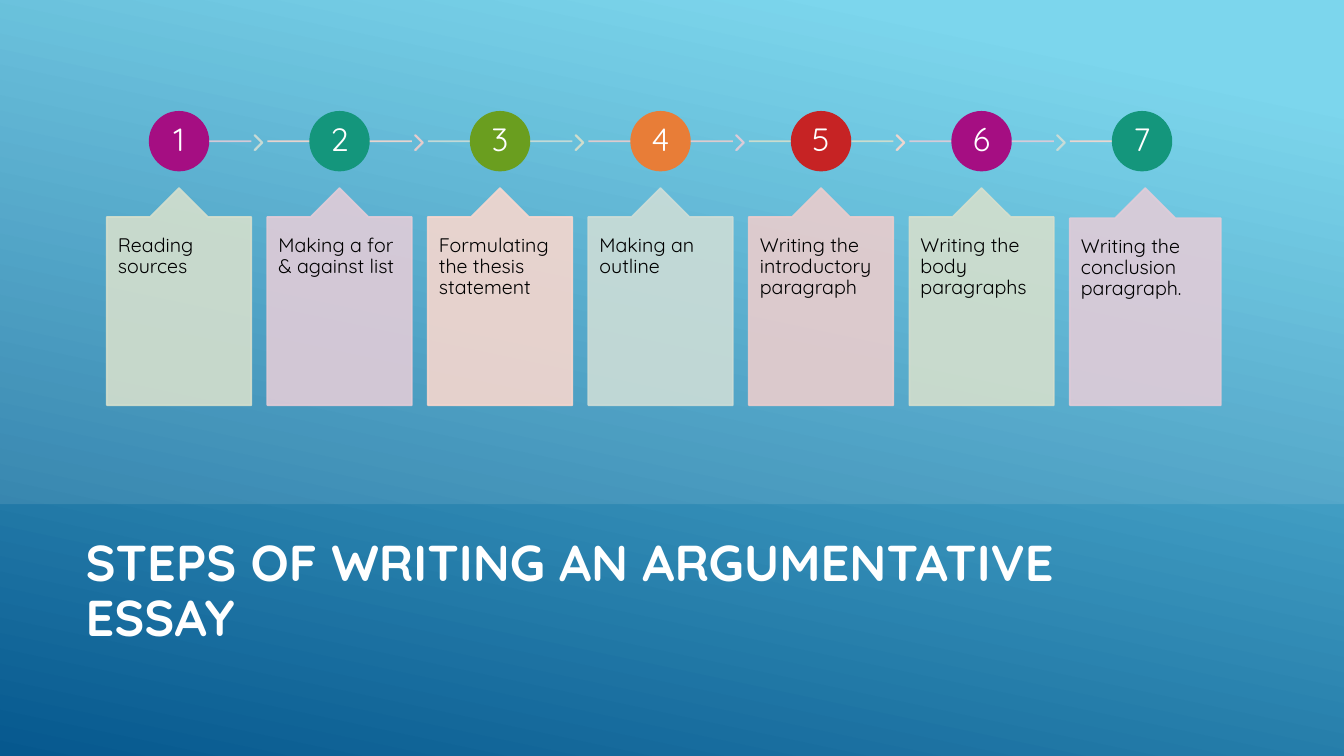
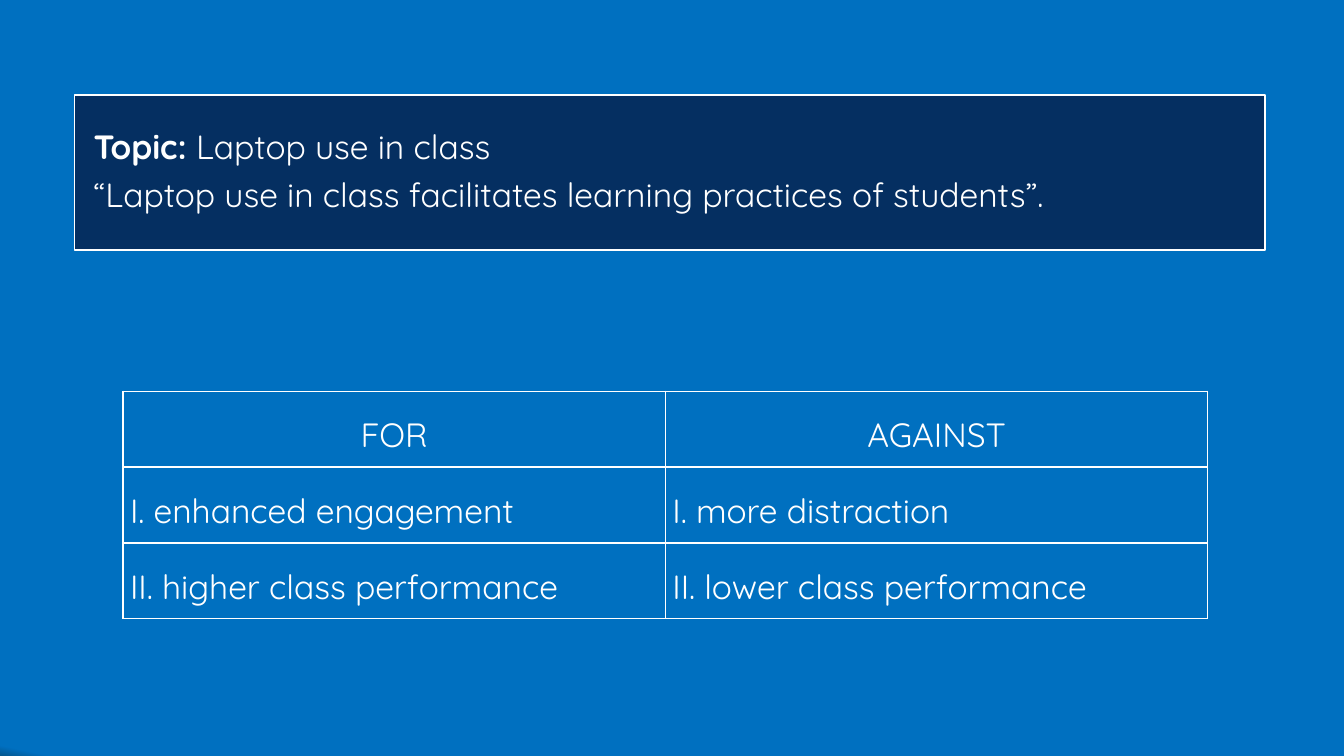
from pptx import Presentation
from pptx.dml.color import RGBColor
from pptx.enum.shapes import MSO_CONNECTOR, MSO_SHAPE
from pptx.enum.text import MSO_ANCHOR, PP_ALIGN
from pptx.oxml.ns import qn
from pptx.util import Inches, Pt
from lxml.etree import SubElement, fromstring

W, H = 13.33, 7.5
FONT = "Quicksand"
WHITE, BLACK, BLUE, NAVY = "FFFFFF", "000000", "0070C0", "052F61"
SKY, CYAN, DEEP = "6ED2EB", "45D7FB", "06588E"
ANGLE = 102
STRONG = ["A50E82", "14967C", "6A9E1F", "E87D37", "C62324"]
TINTS = ["D4DFCD", "E1CCD8", "F6D7CE", "CCDDD7", "EACDCD"]
STEPS = ["Reading sources", "Making a for & against list",
         "Formulating the thesis statement", "Making an outline",
         "Writing the introductory paragraph", "Writing the body paragraphs",
         "Writing the conclusion paragraph."]
TOPIC = [[("Topic: ", True), ("Laptop use in class", False)],
         [("“Laptop use in class facilitates learning practices of students”.", False)]]
ARGUMENTS = [["FOR", "AGAINST"],
             ["I. enhanced engagement", "I. more distraction"],
             ["II. higher class performance", "II. lower class performance"]]


def rgb(color):
    return RGBColor.from_string(color)


def area(left, top, width, height):
    return left * W / 100, top * H / 100, width * W / 100, height * H / 100


def inches(*lengths):
    return [Inches(v) for v in lengths]


def gradient(fill, *stops):
    fill.gradient()
    fill.gradient_angle = 360 - ANGLE
    for stop, (position, color) in zip(fill.gradient_stops, stops):
        stop.position = position
        stop.color.rgb = rgb(color)


def fade(shape, percent):
    for color in shape._element.spPr.iter(qn("a:srgbClr")):
        SubElement(color, qn("a:alpha"), val=str(percent * 1000))


def add_text(tf, paras, size=14, color=WHITE, bold=False, align=PP_ALIGN.LEFT,
             anchor=MSO_ANCHOR.TOP, inset=(0.1, 0.05), spacing=0.9, after=0):
    tf.word_wrap = True
    tf.vertical_anchor = anchor
    tf.margin_left = tf.margin_right = Inches(inset[0])
    tf.margin_top = tf.margin_bottom = Inches(inset[1])
    if isinstance(paras, str):
        paras = [[(paras, bold)]]
    for i, runs in enumerate(paras):
        p = tf.add_paragraph() if i else tf.paragraphs[0]
        p.alignment, p.line_spacing, p.space_after = align, spacing, Pt(after)
        for text, strong in runs:
            r = p.add_run()
            r.text = text
            r.font.name, r.font.size, r.font.bold = FONT, Pt(size), strong
            r.font.color.rgb = rgb(color)


def add_shape(s, kind, box, fill=None, line=None, opacity=100, adjust=()):
    sp = s.shapes.add_shape(kind, *inches(*box))
    sp.shadow.inherit = False
    for i, value in enumerate(adjust):
        sp.adjustments[i] = value
    if fill:
        sp.fill.solid()
        sp.fill.fore_color.rgb = rgb(fill)
    if line:
        sp.line.color.rgb = rgb(line)
        sp.line.width = Pt(1.25)
    else:
        sp.line.fill.background()
    if opacity < 100:
        fade(sp, opacity)
    return sp


def add_line(s, x1, x2, y, color):
    ln = s.shapes.add_connector(MSO_CONNECTOR.STRAIGHT, *inches(x1, y, x2, y))
    ln.line.color.rgb = rgb(color)
    ln.line.width = Pt(1.25)
    fade(ln, 90)
    SubElement(ln._element.spPr, qn("a:effectLst"))


def new_slide(prs, end):
    s = prs.slides.add_slide(prs.slide_layouts[6])
    gradient(s.background.fill, (0.99, BLUE), (1, end))
    return s


def add_title(s, text, box):
    tb = s.shapes.add_textbox(*inches(*box))
    add_text(tb.text_frame, text, size=36, bold=True, anchor=MSO_ANCHOR.MIDDLE)


def add_backdrop(s):
    sp = add_shape(s, MSO_SHAPE.RECTANGLE, area(0, 0, 100, 100))
    gradient(sp.fill, (0.1, SKY), (1, DEEP))


def add_steps(s, steps, box):
    left, top, width, height = box
    last = len(steps) - 1
    pitch = width / (last + 0.9)
    card, dot = pitch * 0.9, height * 0.2
    for i, text in enumerate(steps):
        x = left + i * pitch
        center = x + card / 2
        tint, strong = TINTS[i % 5], STRONG[i % 5]
        add_line(s, x if i else center, x + card if i < last else center,
                 top + dot / 2, TINTS[(i + 1) % 5])
        if i < last:
            mark = TINTS[(i + 3) % 5]
            add_shape(s, MSO_SHAPE.CHEVRON,
                      (x + pitch * 0.92, top + height * 0.08, pitch * 0.05, height * 0.05),
                      mark, mark, opacity=90, adjust=[0.9])
        sp = add_shape(s, MSO_SHAPE.OVAL, (center - dot / 2, top, dot, dot), strong, strong)
        add_text(sp.text_frame, str(i + 1), size=23, align=PP_ALIGN.CENTER,
                 anchor=MSO_ANCHOR.MIDDLE, inset=(0.02, 0.02))
        sp = add_shape(s, MSO_SHAPE.UP_ARROW_CALLOUT,
                       (x, top + height * 0.26, card if i < last else pitch * 0.94, height * 0.74),
                       tint, tint, opacity=90, adjust=[0.5, 0.2, 0.2, 1])
        add_text(sp.text_frame, text, color=BLACK, inset=(0.11, 0.18))


def add_topic(s, paras, box):
    sp = add_shape(s, MSO_SHAPE.RECTANGLE, box, NAVY, WHITE)
    add_text(sp.text_frame, paras, size=24, anchor=MSO_ANCHOR.MIDDLE,
             inset=(0.19, 0.19), after=8.4)


def add_borders(cell, color):
    tcPr = cell._tc.get_or_add_tcPr()
    ns = "http://schemas.openxmlformats.org/drawingml/2006/main"
    for i, side in enumerate(["lnL", "lnR", "lnT", "lnB"]):
        tcPr.insert(i, fromstring(
            f'<a:{side} xmlns:a="{ns}" w="12700"><a:solidFill>'
            f'<a:srgbClr val="{color}"/></a:solidFill></a:{side}>'))


def add_arguments(s, rows, box):
    table = s.shapes.add_table(len(rows), len(rows[0]), *inches(*box)).table
    table.first_row = table.horz_banding = False
    for i, row in enumerate(rows):
        for j, text in enumerate(row):
            cell = table.cell(i, j)
            cell.fill.background()
            add_borders(cell, WHITE)
            add_text(cell.text_frame, text, size=24, spacing=1.07,
                     align=PP_ALIGN.LEFT if i else PP_ALIGN.CENTER)
            cell.vertical_anchor = MSO_ANCHOR.MIDDLE
            cell.margin_left = cell.margin_right = Inches(0.07)
            cell.margin_top, cell.margin_bottom = inches(0.08, 0)


def steps_slide(prs):
    s = new_slide(prs, CYAN)
    add_backdrop(s)
    add_title(s, "STEPS OF WRITING AN ARGUMENTATIVE ESSAY", area(5.63, 70, 76.07, 16.8))
    add_shape(s, MSO_SHAPE.SNIP_2_DIAG_RECTANGLE, area(0, 0, 100, 66.67), WHITE,
              opacity=10, adjust=[0, 0])
    add_steps(s, STEPS, area(7.95, 14.8, 82.4, 38.8))


def topic_slide(prs):
    s = new_slide(prs, DEEP)
    add_topic(s, TOPIC, area(5.55, 12.53, 88.6, 20.53))
    add_arguments(s, ARGUMENTS, area(9.15, 51.73, 80.72, 30.13))


def main():
    prs = Presentation()
    prs.slide_width, prs.slide_height = inches(W, H)
    steps_slide(prs)
    topic_slide(prs)
    prs.save("out.pptx")


if __name__ == "__main__":
    main()
